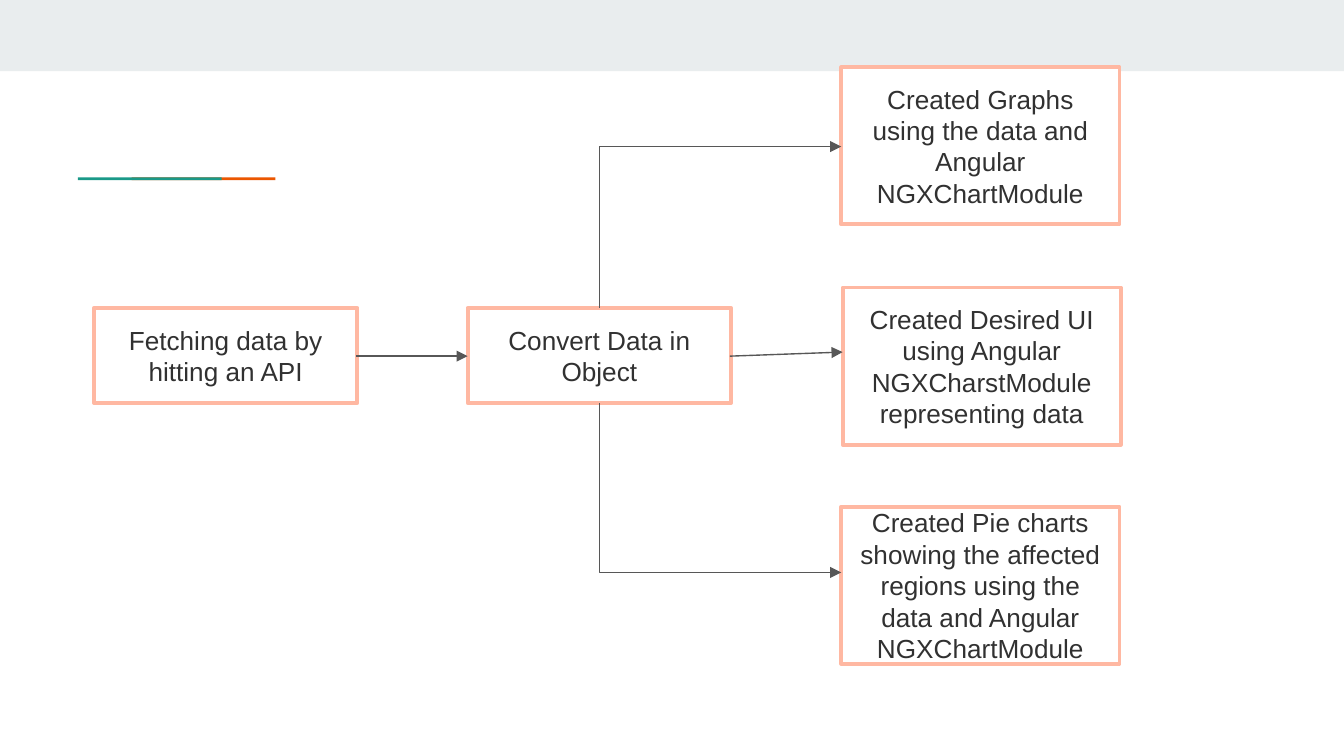
from lxml import etree
from pptx import Presentation
from pptx.dml.color import RGBColor
from pptx.enum.shapes import MSO_CONNECTOR, MSO_SHAPE
from pptx.enum.text import MSO_ANCHOR, PP_ALIGN
from pptx.oxml.ns import qn
from pptx.util import Inches, Pt

RECTANGLE = MSO_SHAPE.RECTANGLE
STRAIGHT, ELBOW = MSO_CONNECTOR.STRAIGHT, MSO_CONNECTOR.ELBOW
MIDDLE, CENTER = MSO_ANCHOR.MIDDLE, PP_ALIGN.CENTER

WHITE = RGBColor(0xFF, 0xFF, 0xFF)
BAND = RGBColor(0xE9, 0xED, 0xEE)
ORANGE = RGBColor(0xEB, 0x56, 0x00)
TEAL = RGBColor(0x1A, 0x99, 0x88)
PEACH = RGBColor(0xFF, 0xB8, 0xA2)
INK = RGBColor(0x31, 0x31, 0x31)
ARROW = RGBColor(0x57, 0x57, 0x57)


class FlowSlide:
    font, size = "Arial", Pt(14)

    def __init__(self, slide):
        self.slide = slide

    def bar(self, left, top, width, height, fill):
        bar = self.slide.shapes.add_shape(
            RECTANGLE, Inches(left), Inches(top), Inches(width), Inches(height))
        bar.shadow.inherit = False
        bar.fill.solid()
        bar.fill.fore_color.rgb = fill
        bar.line.fill.background()
        return bar

    def step(self, left, top, width, height, text):
        box = self.bar(left, top, width, height, WHITE)
        box.line.color.rgb = PEACH
        box.line.width = Pt(2)
        frame = box.text_frame
        frame.word_wrap = True
        frame.vertical_anchor = MIDDLE
        paragraph = frame.paragraphs[0]
        paragraph.alignment = CENTER
        run = paragraph.add_run()
        run.text = text
        run.font.name, run.font.size = self.font, self.size
        run.font.color.rgb = INK

    def arrow(self, start, end, kind=STRAIGHT):
        link = self.slide.shapes.add_connector(
            kind, *(Inches(value) for value in (*start, *end)))
        link.line.color.rgb = ARROW
        link.line.width = Pt(0.75)
        line = link.line._get_or_add_ln()
        etree.SubElement(line, qn("a:tailEnd"), type="triangle")
        etree.SubElement(link._element.spPr, qn("a:effectLst"))
        return link

    def branch(self, start, end):
        """Vertical then horizontal: a one-bend elbow turned by 270 degrees."""
        (x1, y1), (x2, y2) = start, end
        mid_x, mid_y = (x1 + x2) / 2, (y1 + y2) / 2
        half_run, half_drop = (x2 - x1) / 2, (y2 - y1) / 2
        link = self.arrow((mid_x + half_drop, mid_y - half_run),
                          (mid_x - half_drop, mid_y + half_run), ELBOW)
        properties = link._element.spPr
        properties.find(qn("a:xfrm")).set("rot", str(270 * 60000))
        properties.find(qn("a:prstGeom")).set("prst", "bentConnector2")


def main():
    deck = Presentation()
    deck.slide_width = Inches(10)
    deck.slide_height = deck.slide_width * 9 // 16
    flow = FlowSlide(deck.slides.add_slide(deck.slide_layouts[6]))

    # Header band and two-colour accent rule
    flow.bar(0, 0, 10, 0.53, BAND)
    for left, colour in ((0.98, ORANGE), (0.58, TEAL)):
        flow.bar(left, 1.32, 1.07, 0.02, colour)

    # Source steps
    step_size = (1.96, 0.71)
    flow.step(0.7, 2.29, *step_size, "Fetching data by hitting an API")
    flow.step(3.48, 2.29, *step_size, "Convert Data in Object")

    # Resulting views
    view_size = (2.07, 1.17)
    views = (
        (6.26, 0.5, "Created Graphs using the data and Angular NGXChartModule"),
        (6.27, 2.14, "Created Desired UI using Angular NGXCharstModule "
                     "representing data"),
        (6.26, 3.77, "Created Pie charts showing the affected regions using "
                     "the data and Angular NGXChartModule"),
    )
    for left, top, text in views:
        flow.step(left, top, *view_size, text)

    # Flow arrows
    flow.arrow((2.65, 2.65), (3.48, 2.65))
    flow.arrow((5.43, 2.65), (6.27, 2.62))
    flow.branch((4.46, 2.29), (6.26, 1.09))
    flow.branch((4.46, 3), (6.26, 4.26))

    deck.save("out.pptx")


if __name__ == "__main__":
    main()
